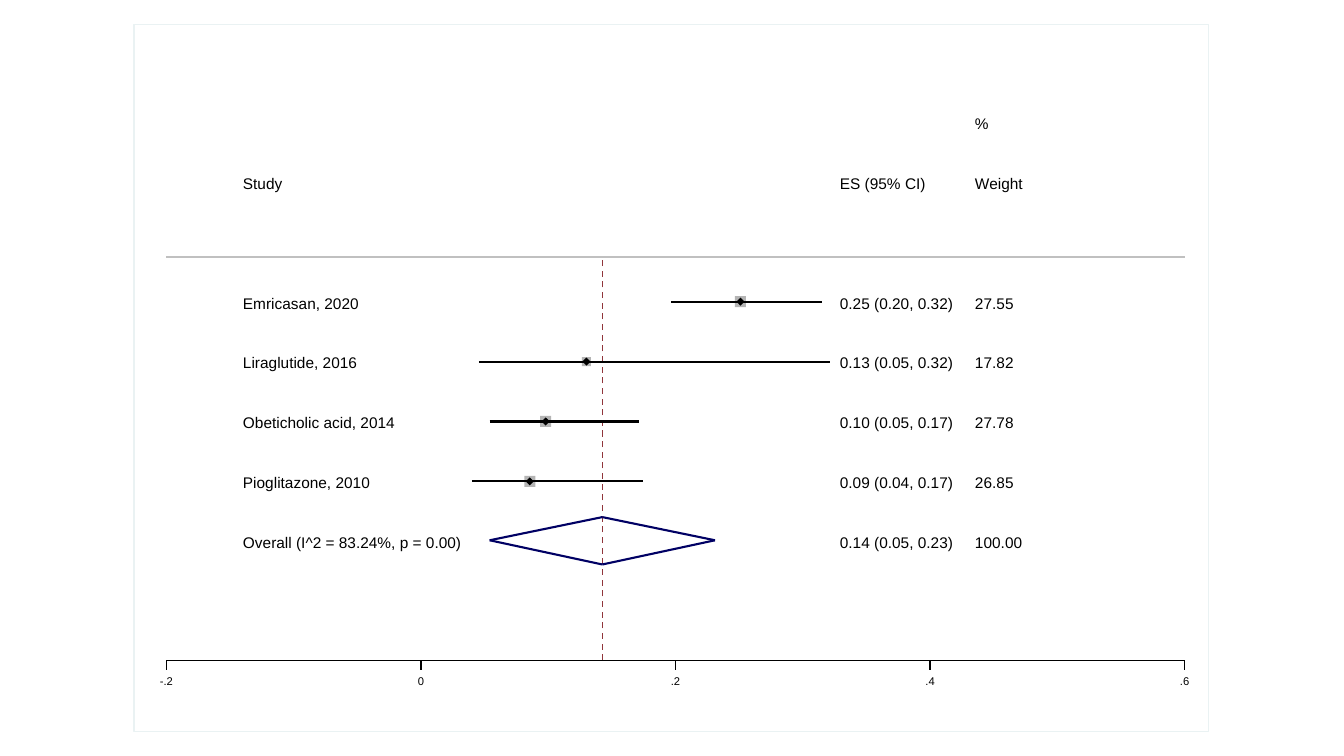
from lxml import etree
from pptx import Presentation
from pptx.dml.color import RGBColor
from pptx.enum.shapes import MSO_CONNECTOR, MSO_SHAPE
from pptx.enum.text import PP_ALIGN
from pptx.oxml.ns import qn
from pptx.util import Inches, Pt

HEADERS = [("Study", "ES (95% CI)", "Weight")]
STUDIES = [
    ("Emricasan, 2020", "0.25 (0.20, 0.32)", "27.55"),
    ("Liraglutide, 2016", "0.13 (0.05, 0.32)", "17.82"),
    ("Obeticholic acid, 2014", "0.10 (0.05, 0.17)", "27.78"),
    ("Pioglitazone, 2010", "0.09 (0.04, 0.17)", "26.85"),
]
OVERALL = ("Overall (I^2 = 83.24%, p = 0.00)", "0.14 (0.05, 0.23)", "100.00")
# low, estimate, high in percent, then weight box size
INTERVALS = [
    (19.65, 25.1, 31.5, 0.11),
    (4.55, 13, 32.1, 0.09),
    (5.4, 9.8, 17.15, 0.11),
    (4, 8.55, 17.45, 0.11),
]
POOLED = (5.4, 14.25, 23.1)
TICKS = [(-20, "-.2"), (0, "0"), (20, ".2"), (40, ".4"), (60, ".6")]

COLORS = {
    "white": "FFFFFF",
    "frame": "EAF2F3",
    "rule": "C0C0C0",
    "pooled_line": "90353B",
    "weight": "B4B4B4",
    "diamond": "000064",
    "ink": "000000",
}
FONT = "Arial"
COLUMNS = [(2.41, 2.25), (8.33, 1.18), (9.67, 0.55)]
AXIS_LEFT, AXIS_RIGHT, AXIS_Y = 1.65, 11.75, 6.55
RULE_Y = 2.55
DASHES, LAST_DASH_Y, DASH = 38, 2.64, 0.06
FIRST_ROW, LAST_ROW = 1.13, 5.29
ROW_PITCH = (LAST_ROW - FIRST_ROW) / 7
HEADER_ROW, STUDY_ROW, OVERALL_ROW = 1, 3, 7


def color(name):
    return RGBColor.from_string(COLORS[name])


def axis_x(value):
    return AXIS_LEFT + (value + 20) * (AXIS_RIGHT - AXIS_LEFT) / 80


def row_y(row):
    return FIRST_ROW + row * ROW_PITCH


def add_line(slide, x1, y1, x2, y2, ink, width=1):
    ends = [Inches(n) for n in (x1, y1, x2, y2)]
    c = slide.shapes.add_connector(MSO_CONNECTOR.STRAIGHT, *ends)
    c.line.color.rgb = color(ink)
    c.line.width = Pt(width)
    etree.SubElement(c._element.spPr, qn("a:effectLst"))


def add_centered(slide, kind, x, y, w, h, fill, line=None):
    sp = slide.shapes.add_shape(
        kind, Inches(x - w / 2), Inches(y - h / 2), Inches(w), Inches(h))
    sp.shadow.inherit = False
    sp.fill.solid()
    sp.fill.fore_color.rgb = color(fill)
    if line:
        sp.line.color.rgb = color(line)
        sp.line.width = Pt(1)
    else:
        sp.line.fill.background()


def add_text(slide, text, x, y, w, h, size=11, align=PP_ALIGN.LEFT):
    tf = slide.shapes.add_textbox(
        Inches(x), Inches(y), Inches(w), Inches(h)).text_frame
    tf.margin_left = tf.margin_right = tf.margin_top = tf.margin_bottom = 0
    tf.word_wrap = False
    p = tf.paragraphs[0]
    p.text = text
    p.alignment = align
    p.font.name = FONT
    p.font.size = Pt(size)
    p.font.color.rgb = color("ink")


def add_pooled_line(slide):
    x = axis_x(POOLED[1])
    pitch = (AXIS_Y - LAST_DASH_Y) / (DASHES - 1)
    for i in range(DASHES):
        y = AXIS_Y - i * pitch
        add_line(slide, x, y, x, y - DASH, "pooled_line")


def add_table_text(slide):
    add_text(slide, "%", COLUMNS[2][0], row_y(0), 0.2, 0.21)
    blocks = [(HEADER_ROW, HEADERS), (STUDY_ROW, STUDIES), (OVERALL_ROW, [OVERALL])]
    for first, records in blocks:
        for i, record in enumerate(records):
            for text, (x, w) in zip(record, COLUMNS):
                add_text(slide, text, x, row_y(first + i), w, 0.21)


def add_estimates(slide):
    for i, (low, estimate, high, box) in enumerate(INTERVALS):
        x, y = axis_x(estimate), row_y(STUDY_ROW + i) + 0.08
        add_centered(slide, MSO_SHAPE.RECTANGLE, x, y, box, box, "weight")
        add_line(slide, axis_x(low), y, axis_x(high), y, "ink", 1.5)
        add_centered(slide, MSO_SHAPE.DIAMOND, x, y, 0.08, 0.08, "ink")


def add_pooled_diamond(slide):
    left, middle, right = [axis_x(value) for value in POOLED]
    y = row_y(OVERALL_ROW) + 0.07
    corners = [(left, y), (middle, y - 0.23), (right, y), (middle, y + 0.24)]
    for start, end in zip(corners, corners[1:] + corners[:1]):
        add_line(slide, *start, *end, "diamond", 1.5)


def add_axis(slide):
    add_line(slide, AXIS_LEFT, AXIS_Y, AXIS_RIGHT, AXIS_Y, "ink")
    for value, label in TICKS:
        x = axis_x(value)
        add_line(slide, x, AXIS_Y, x, AXIS_Y + 0.1, "ink")
        add_text(slide, label, x - 0.1, 6.69, 0.2, 0.15, 8, PP_ALIGN.CENTER)


def main():
    prs = Presentation()
    prs.slide_width, prs.slide_height = Inches(13.33), Inches(7.5)
    slide = prs.slides.add_slide(prs.slide_layouts[6])
    add_centered(slide, MSO_SHAPE.RECTANGLE, 6.66, 3.75, 10.66, 7.02,
                 "white", "frame")
    add_line(slide, AXIS_LEFT, RULE_Y, AXIS_RIGHT, RULE_Y, "rule")
    add_pooled_line(slide)
    add_estimates(slide)
    add_pooled_diamond(slide)
    add_table_text(slide)
    add_axis(slide)
    prs.save("out.pptx")


if __name__ == "__main__":
    main()
